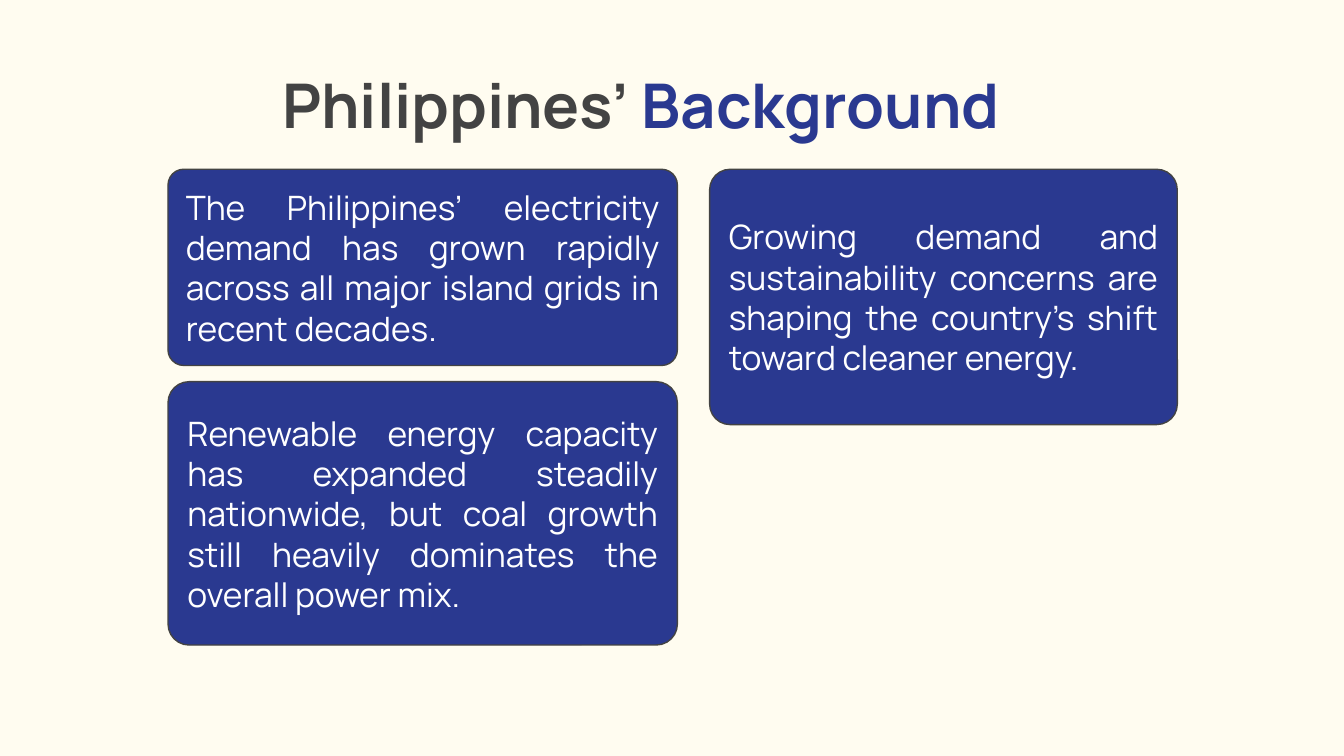
from dataclasses import dataclass

from pptx import Presentation
from pptx.dml.color import RGBColor
from pptx.enum.shapes import MSO_SHAPE
from pptx.enum.text import MSO_ANCHOR, PP_ALIGN
from pptx.slide import Slide
from pptx.text.text import TextFrame
from pptx.util import Inches, Pt

COLORS = {"cream": "FFFCF0", "navy": "2A3990", "charcoal": "434343", "white": "FFFFFF"}
FONT = "Manrope"
WIDTH = 10
HEIGHT = WIDTH * 9 / 16
COLUMNS = [(1.25, 3.79), (5.28, 3.48)]  # left and width of each column
TOP, ROW_GAP = 1.26, 0.12
FRAME_FORMAT = {
    "word_wrap": True,
    **{f"margin_{side}": Inches(0.1) for side in ("left", "top", "right", "bottom")},
}


@dataclass
class Card:
    column: int
    height: float
    text: str


CARDS = [
    Card(0, 1.46, "The Philippines’ electricity demand has grown rapidly "
                  "across all major island grids in recent decades."),
    Card(0, 1.96, "Renewable energy capacity has expanded steadily nationwide, "
                  "but coal growth still heavily dominates the overall power mix."),
    Card(1, 1.9, "Growing demand and sustainability concerns are shaping "
                 "the country’s shift toward cleaner energy."),
]


def color(name: str) -> RGBColor:
    return RGBColor.from_string(COLORS[name])


def write(frame: TextFrame, spans: list[tuple[str, str]], size: float, bold: bool,
          align: PP_ALIGN, anchor: MSO_ANCHOR) -> None:
    """Fill the frame with one paragraph of (text, colour name) spans."""
    for key, value in {**FRAME_FORMAT, "vertical_anchor": anchor}.items():
        setattr(frame, key, value)
    para = frame.paragraphs[0]
    para.alignment = align
    for text, color_name in spans:
        span = para.add_run()
        span.text = text
        for key, value in {"name": FONT, "size": Pt(size), "bold": bold}.items():
            setattr(span.font, key, value)
        span.font.color.rgb = color(color_name)


def draw_title(page: Slide) -> None:
    box = page.shapes.add_textbox(Inches(2), Inches(0.4), Inches(5.99), Inches(0.68))
    spans = [("Philippines’ ", "charcoal"), ("Background", "navy")]
    write(box.text_frame, spans, 33, True, PP_ALIGN.LEFT, MSO_ANCHOR.TOP)


def draw_card(page: Slide, card: Card, top: float) -> None:
    left, width = COLUMNS[card.column]
    box = page.shapes.add_shape(MSO_SHAPE.ROUNDED_RECTANGLE, Inches(left), Inches(top),
                                Inches(width), Inches(card.height))
    box.adjustments[0] = 0.08
    box.shadow.inherit = False
    box.fill.solid()
    box.fill.fore_color.rgb = color("navy")
    box.line.color.rgb = color("charcoal")
    box.line.width = Pt(0.75)
    write(box.text_frame, [(card.text, "white")], 18, False,
          PP_ALIGN.JUSTIFY, MSO_ANCHOR.MIDDLE)


def main() -> None:
    deck = Presentation()
    deck.slide_width, deck.slide_height = Inches(WIDTH), Inches(HEIGHT)
    page = deck.slides.add_slide(deck.slide_layouts[6])
    page.background.fill.solid()
    page.background.fill.fore_color.rgb = color("cream")
    draw_title(page)
    next_top = [TOP] * len(COLUMNS)
    for card in CARDS:
        draw_card(page, card, next_top[card.column])
        next_top[card.column] += card.height + ROW_GAP
    deck.save("out.pptx")


if __name__ == "__main__":
    main()
